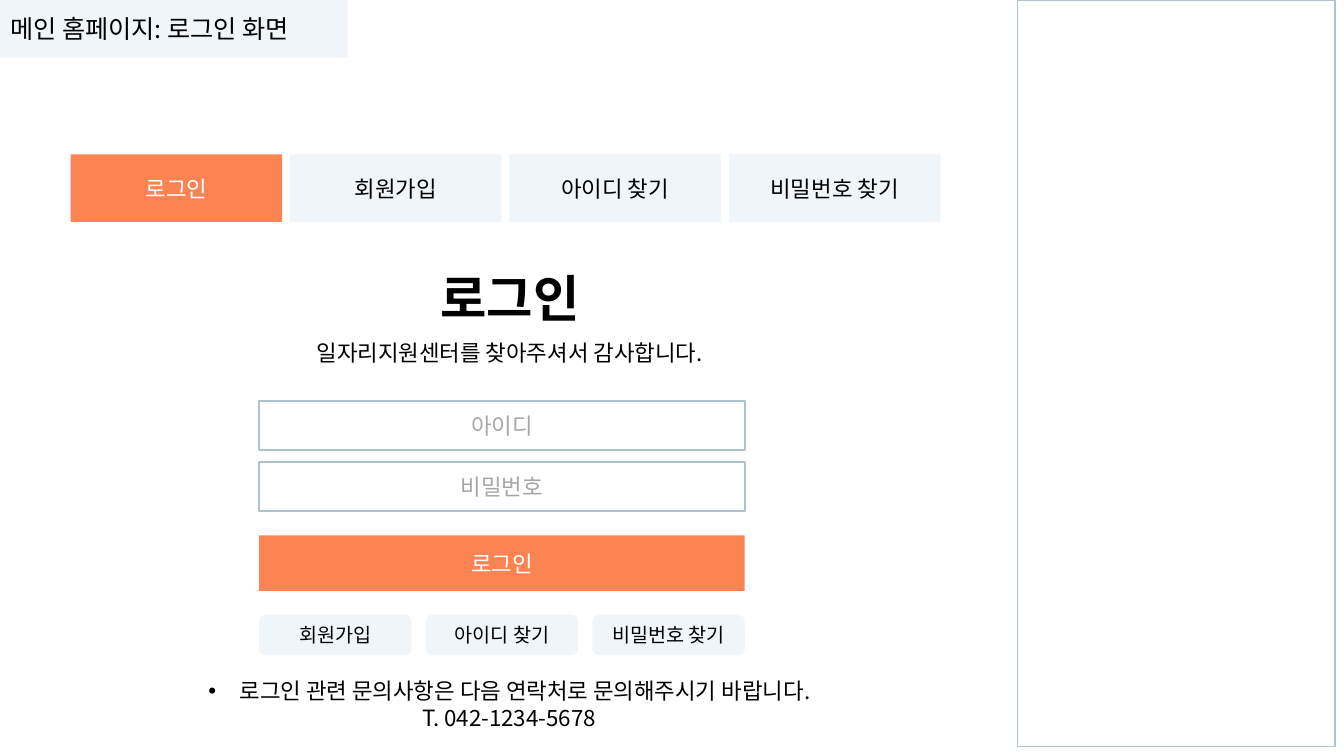
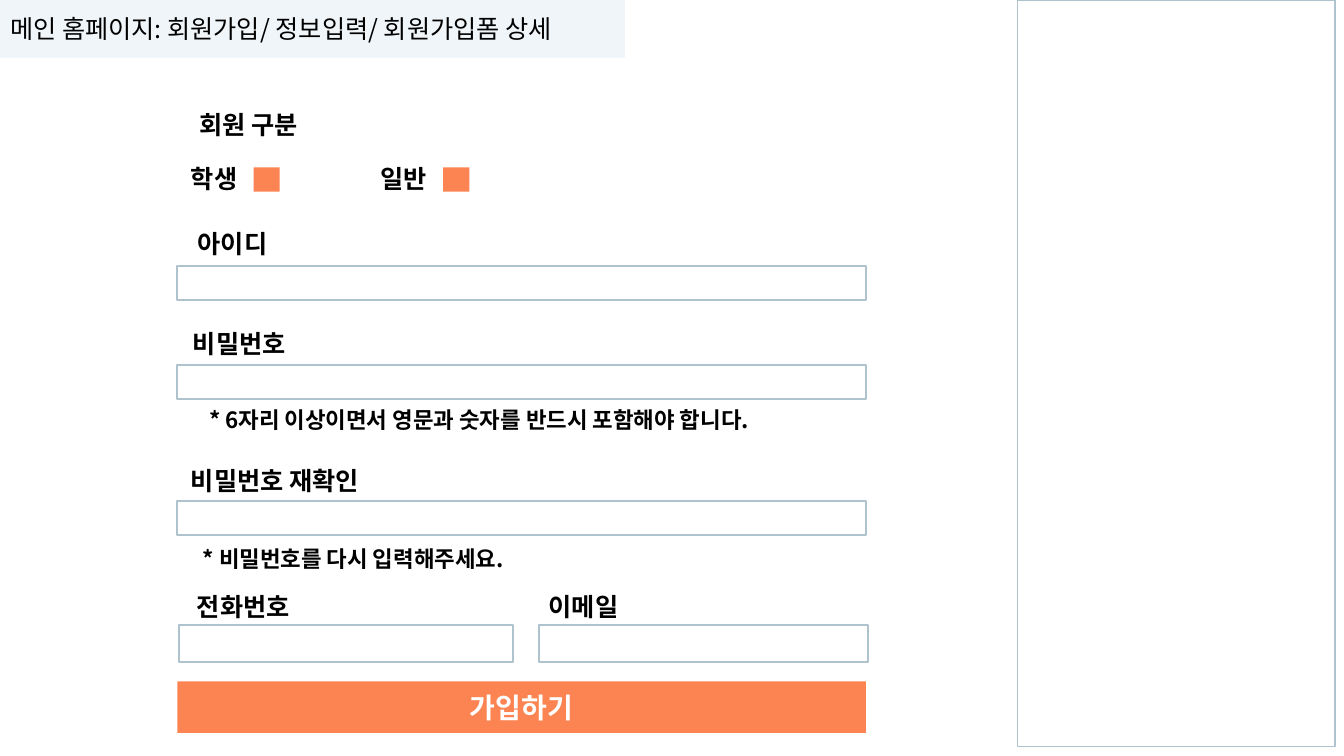
from lxml.etree import SubElement
from pptx import Presentation
from pptx.dml.color import RGBColor
from pptx.enum.shapes import MSO_SHAPE as Preset
from pptx.enum.text import MSO_ANCHOR as Anchor, MSO_AUTO_SIZE as AutoSize, PP_ALIGN as Align
from pptx.oxml.ns import qn
from pptx.util import Cm, Pt

FONT = "Noto Sans CJK KR"
COLORS = {
    "accent": "FC8453",
    "pale": "F0F5F9",
    "outline": "AFC3CE",
    "hint": "A6A6A6",
    "ink": "000000",
    "white": "FFFFFF",
}


def rgb(name):
    return RGBColor.from_string(COLORS[name])


class Wireframe:
    """Holds the shared style and the slide being drawn."""

    def __init__(self):
        self.deck = Presentation()
        self.deck.slide_width, self.deck.slide_height = Cm(33.87), Cm(19.05)
        self.slide = None

    def screen(self, title, band_width):
        """Start a slide with its title band and the empty side panel."""
        self.slide = self.deck.slides.add_slide(self.deck.slide_layouts[5])
        band = self.slide.shapes.title
        band.left, band.top, band.width, band.height = Cm(0), Cm(0), Cm(band_width), Cm(1.45)
        band.fill.solid()
        band.fill.fore_color.rgb = rgb("pale")
        self.set_text(band, [title], 18, align=Align.LEFT)
        self.field(25.65, 0, 8, 18.82, line_width=1)

    def set_text(self, shape, lines, size, color="ink", bold=False,
                 align=Align.CENTER, anchor=Anchor.MIDDLE):
        frame = shape.text_frame
        frame.word_wrap = True
        frame.auto_size = AutoSize.NONE
        frame.vertical_anchor = anchor
        for index, line in enumerate(lines):
            paragraph = frame.add_paragraph() if index else frame.paragraphs[0]
            paragraph.alignment = align
            run = paragraph.add_run()
            run.text = line
            font = run.font
            font.name, font.size, font.bold = FONT, Pt(size), bold
            font.color.rgb = rgb(color)
            SubElement(font._element, qn("a:ea"), typeface=FONT)

    def block(self, left, top, width, height, fill="pale", preset=Preset.RECTANGLE):
        shape = self.slide.shapes.add_shape(preset, Cm(left), Cm(top), Cm(width), Cm(height))
        shape.shadow.inherit = False
        shape.fill.solid()
        shape.fill.fore_color.rgb = rgb(fill)
        shape.line.fill.background()
        return shape

    def button(self, text, left, top, width, height, size=16, active=False,
               bold=False, preset=Preset.RECTANGLE):
        shape = self.block(left, top, width, height, "accent" if active else "pale", preset)
        self.set_text(shape, [text], size, "white" if active else "ink", bold)

    def field(self, left, top, width, height, hint=None, line_width=1.5):
        shape = self.block(left, top, width, height)
        shape.fill.background()
        shape.line.color.rgb = rgb("outline")
        shape.line.width = Pt(line_width)
        if hint:
            self.set_text(shape, [hint], 16, "hint")

    def text(self, lines, left, top, width, height, size=16, bold=False, anchor=Anchor.MIDDLE):
        box = self.slide.shapes.add_textbox(Cm(left), Cm(top), Cm(width), Cm(height))
        self.set_text(box, lines, size, bold=bold, anchor=anchor)
        return box

    def label(self, text, left, top, width):
        box = self.text([text], left, top, width, 1.02, 18, True, Anchor.TOP)
        box.text_frame.auto_size = AutoSize.SHAPE_TO_FIT_TEXT

    def bullet(self, paragraph, indent):
        props = paragraph._p.get_or_add_pPr()
        props.set("marL", str(Cm(indent)))
        props.set("indent", str(-Cm(indent)))
        SubElement(props, qn("a:buFont"), typeface="Arial")
        SubElement(props, qn("a:buChar"), char="•")


def login_screen(page):
    page.screen("메인 홈페이지: 로그인 화면", 8.76)
    login, *other_pages = tabs = ["로그인", "회원가입", "아이디 찾기", "비밀번호 찾기"]
    for index, tab in enumerate(tabs):
        page.button(tab, 1.78 + index * 5.53, 3.89, 5.33, 1.7, active=tab == login)

    page.text([login], 10.74, 6.88, 4.22, 1.24, 36, bold=True)
    page.text(["일자리지원센터를 찾아주셔서 감사합니다."], 6.99, 8.26, 11.71, 1.24)

    form_left, form_width = 6.53, 12.24
    for index, hint in enumerate(["아이디", "비밀번호"]):
        page.field(form_left, 10.11 + index * 1.53, form_width, 1.24, hint)
    page.button(login, form_left, 13.49, form_width, 1.4, active=True)

    gap = 0.36
    link_width = (form_width - 2 * gap) / 3
    for index, link in enumerate(other_pages):
        page.button(link, form_left + index * (link_width + gap), 15.49, link_width, 1.02,
                    size=14, preset=Preset.ROUNDED_RECTANGLE)

    contact = page.text(
        ["로그인 관련 문의사항은 다음 연락처로 문의해주시기 바랍니다.", "T. 042-1234-5678"],
        3.78, 17.12, 18.11, 1.24)
    page.bullet(contact.text_frame.paragraphs[0], 0.79)


def signup_screen(page):
    page.screen("메인 홈페이지: 회원가입/ 정보입력/ 회원가입폼 상세", 15.75)
    page.label("회원 구분", 4.52, 2.64, 3.48)
    for member, left in [("학생", 4.34), ("일반", 9.12)]:
        page.label(member, left, 3.99, 2.11)
        page.block(left + 2.05, 4.22, 0.66, 0.61, "accent")

    form_left, form_width = 4.47, 17.35
    for name, left, top, width, field_top in [
        ("아이디", 4.5, 5.64, 2.72, 6.71),
        ("비밀번호", 4.52, 8.15, 3.02, 9.19),
        ("비밀번호 재확인", 4.34, 11.61, 5.18, 12.62),
    ]:
        page.label(name, left, top, width)
        page.field(form_left, field_top, form_width, 0.86)
    page.text(["* 6자리 이상이면서 영문과 숫자를 반드시 포함해야 합니다."],
              4.39, 10.34, 15.37, 0.48, bold=True)
    page.text(["* 비밀번호를 다시 입력해주세요."], 4.34, 13.74, 9.12, 0.69, bold=True)

    for name, left, width, field_left, field_width in [
        ("전화번호", 4.39, 3.48, 4.52, 8.41),
        ("이메일", 13.23, 2.95, 13.59, 8.28),
    ]:
        page.label(name, left, 14.77, width)
        page.field(field_left, 15.75, field_width, 0.94)
    page.button("가입하기", form_left, 17.17, form_width, 1.3, size=20, active=True, bold=True)


def main():
    page = Wireframe()
    login_screen(page)
    signup_screen(page)
    page.deck.save("out.pptx")


if __name__ == "__main__":
    main()
